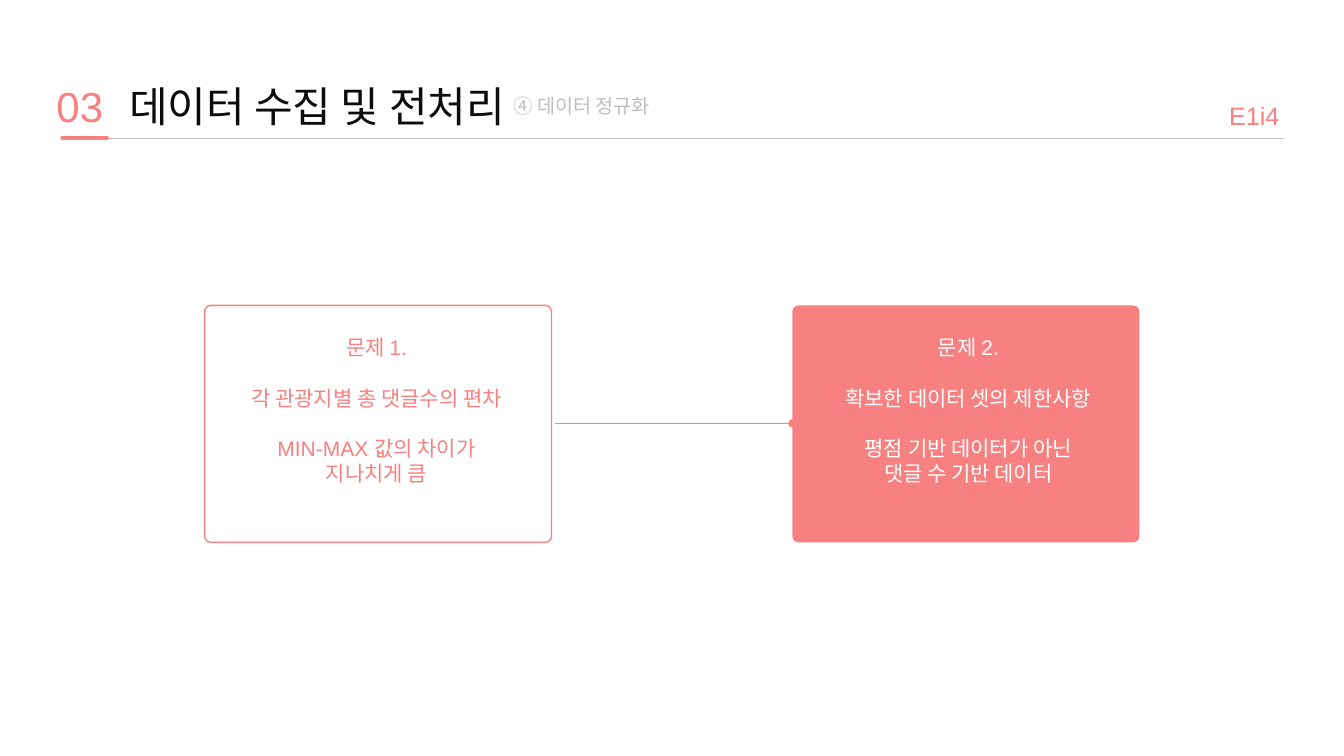
from lxml.etree import SubElement
from pptx import Presentation
from pptx.dml.color import RGBColor
from pptx.enum.shapes import MSO_CONNECTOR, MSO_SHAPE
from pptx.enum.text import MSO_ANCHOR, MSO_AUTO_SIZE, PP_ALIGN
from pptx.oxml.ns import qn
from pptx.util import Inches, Pt

COLORS = {"pink": "F78181", "grey": "BFBFBF", "ink": "0C0C0C", "white": "FFFFFF"}
CARD_TOP, CARD_WIDTH, CARD_HEIGHT = 3.03, 3.44, 2.35
BLANK_LINE = 18


def rgb(name):
    return RGBColor.from_string(COLORS[name])


def write(frame, lines, size=15, color="pink", font="Arial", align=PP_ALIGN.LEFT,
          anchor=MSO_ANCHOR.TOP, inset=(0, 0)):
    """Fill a frame from (text, space before in points) pairs."""
    frame.word_wrap = True
    frame.auto_size = MSO_AUTO_SIZE.NONE
    frame.vertical_anchor = anchor
    frame.margin_left = frame.margin_right = Inches(inset[0])
    frame.margin_top = frame.margin_bottom = Inches(inset[1])
    for index, (text, gap) in enumerate(lines):
        para = frame.add_paragraph() if index else frame.paragraphs[0]
        props = para._p.get_or_add_pPr()
        props.set("marL", "0")
        props.set("indent", "0")
        SubElement(props, qn("a:buNone"))
        para.alignment = align
        para.space_before = Pt(gap)
        run = para.add_run()
        run.text = text
        run.font.size = Pt(size)
        run.font.name = font
        run.font.color.rgb = rgb(color)


class Deck:
    """Holds the style and the current slide."""

    def __init__(self):
        self.deck = Presentation()
        self.deck.slide_width = Inches(13.33)
        self.deck.slide_height = Inches(7.5)
        self.slide = self.deck.slides.add_slide(self.deck.slide_layouts[3])
        self.shapes = self.slide.shapes
        for holder in list(self.slide.placeholders):
            if holder.placeholder_format.idx > 2:
                holder._element.getparent().remove(holder._element)

    def holder(self, index, box, lines, **style):
        """Move a placeholder to its box, in front of the shapes so far."""
        holder = self.slide.placeholders[index]
        holder.left, holder.top, holder.width, holder.height = map(Inches, box)
        self.shapes._spTree.append(holder._element)
        write(holder.text_frame, lines, **style)

    def label(self, box, text, **style):
        frame = self.shapes.add_textbox(*map(Inches, box)).text_frame
        write(frame, [(text, 0)], **style)

    def line(self, start, end, y, color, width=0.75, cap="flat", tail=None):
        line = self.shapes.add_connector(
            MSO_CONNECTOR.STRAIGHT, Inches(start), Inches(y), Inches(end), Inches(y))
        line.line.color.rgb = rgb(color)
        line.line.width = Pt(width)
        outline = line.line._get_or_add_ln()
        outline.set("cap", cap)
        if tail:
            SubElement(outline, qn("a:tailEnd")).set("type", tail)
        SubElement(line._element.spPr, qn("a:effectLst"))

    def card(self, left, fill, border=None):
        card = self.shapes.add_shape(
            MSO_SHAPE.ROUNDED_RECTANGLE,
            *map(Inches, (left, CARD_TOP, CARD_WIDTH, CARD_HEIGHT)))
        card.adjustments[0] = 0.025
        card.shadow.inherit = False
        card.fill.solid()
        card.fill.fore_color.rgb = rgb(fill)
        if border:
            card.line.color.rgb = rgb(border)
            card.line.width = Pt(1)
        else:
            card.line.fill.background()

    def problem(self, index, box, lines, color):
        self.holder(index, box, lines, color=color, align=PP_ALIGN.CENTER,
                    inset=(0.1, 0.05))


def main():
    deck = Deck()
    deck.holder(0, (1.28, 0.8, 4.34, 0.5), [("데이터 수집 및 전처리", 0)],
                size=30, color="ink")
    deck.label((11.58, 1, 1.11, 0.3), "E1i4", size=18,
               align=PP_ALIGN.RIGHT, anchor=MSO_ANCHOR.BOTTOM)
    deck.label((5.09, 0.93, 3.05, 0.24), "④ 데이터 정규화", size=14,
               color="grey", anchor=MSO_ANCHOR.BOTTOM)
    deck.line(1.07, 12.73, 1.37, "grey")
    deck.line(0.62, 1.06, 1.37, "pink", width=3, cap="rnd")
    deck.label((0.56, 0.8, 0.66, 0.5), "03", size=30)

    deck.card(2.03, "white", border="pink")
    deck.problem(1, (2.17, 3.27, 3.13, 1.62), [
        ("문제 1.", 0),
        ("각 관광지별 총 댓글수의 편차", BLANK_LINE),
        ("MIN-MAX 값의 차이가", BLANK_LINE),
        ("지나치게 큼", 0),
    ], "pink")
    deck.line(5.5, 7.86, 4.2, "pink", tail="oval")
    deck.card(7.86, "pink")
    deck.problem(2, (7.96, 3.27, 3.29, 1.87), [
        ("문제 2.", 0),
        ("확보한 데이터 셋의 제한사항", BLANK_LINE),
        ("평점 기반 데이터가 아닌", BLANK_LINE),
        ("댓글 수 기반 데이터", 0),
    ], "white")
    deck.deck.save("out.pptx")


if __name__ == "__main__":
    main()
